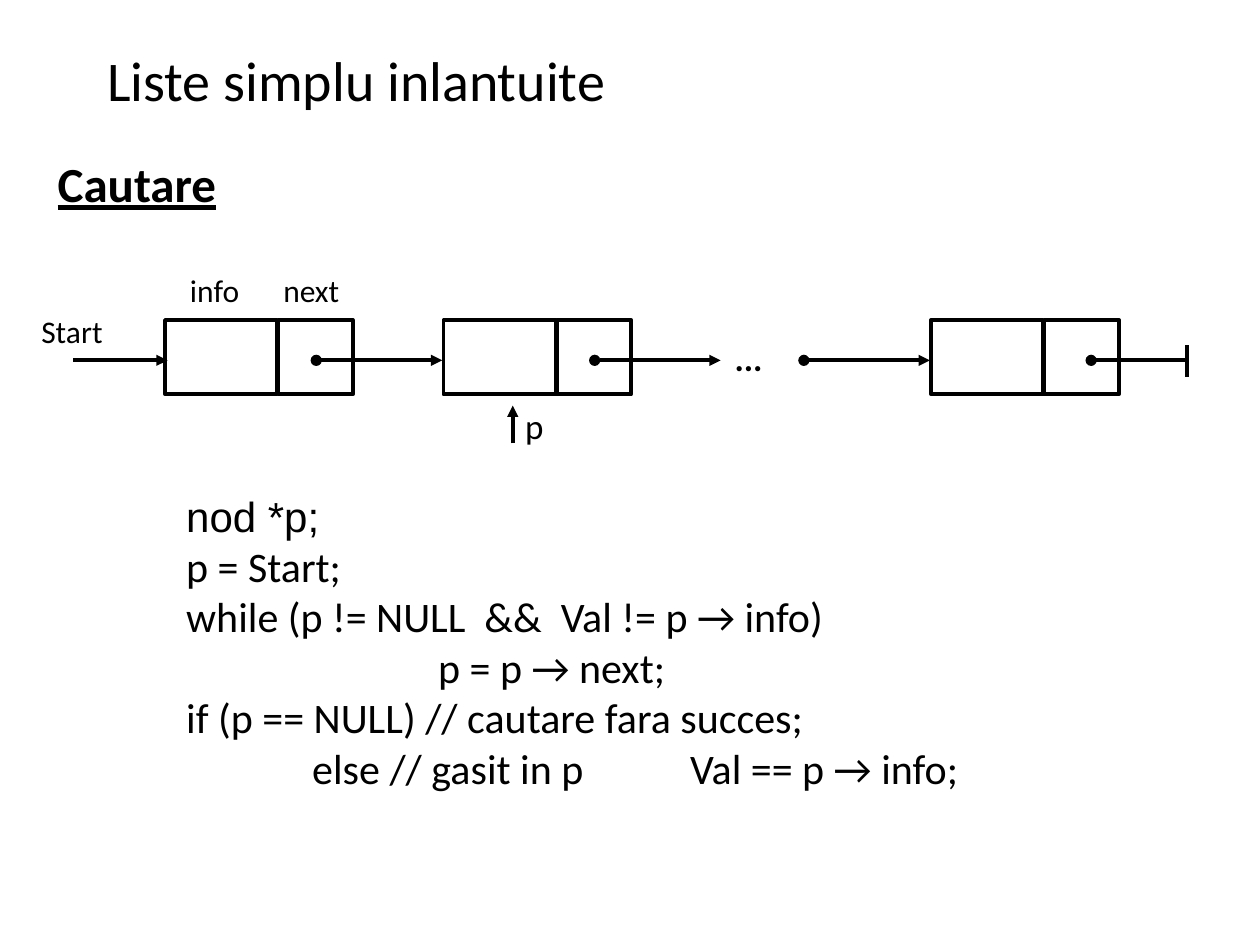
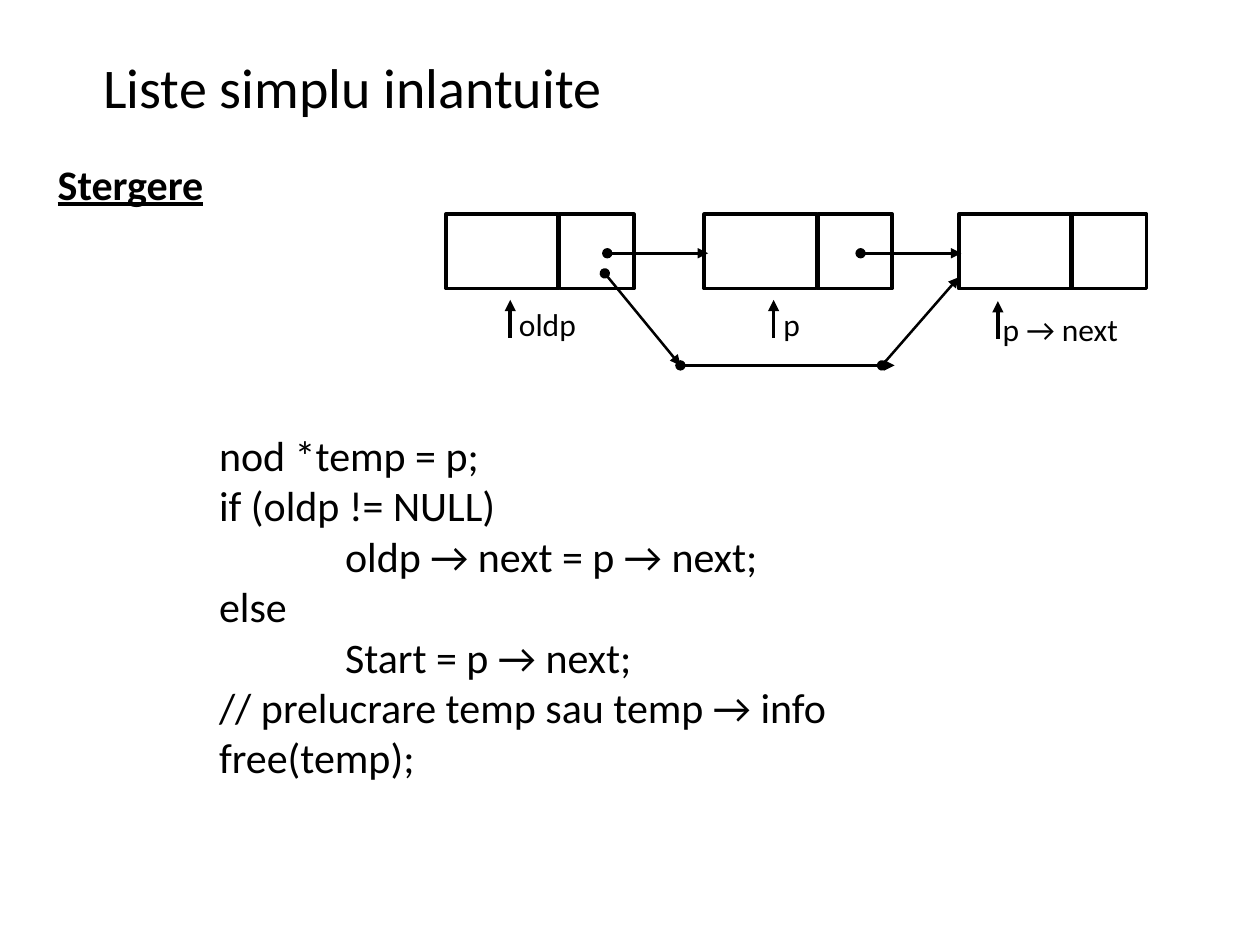
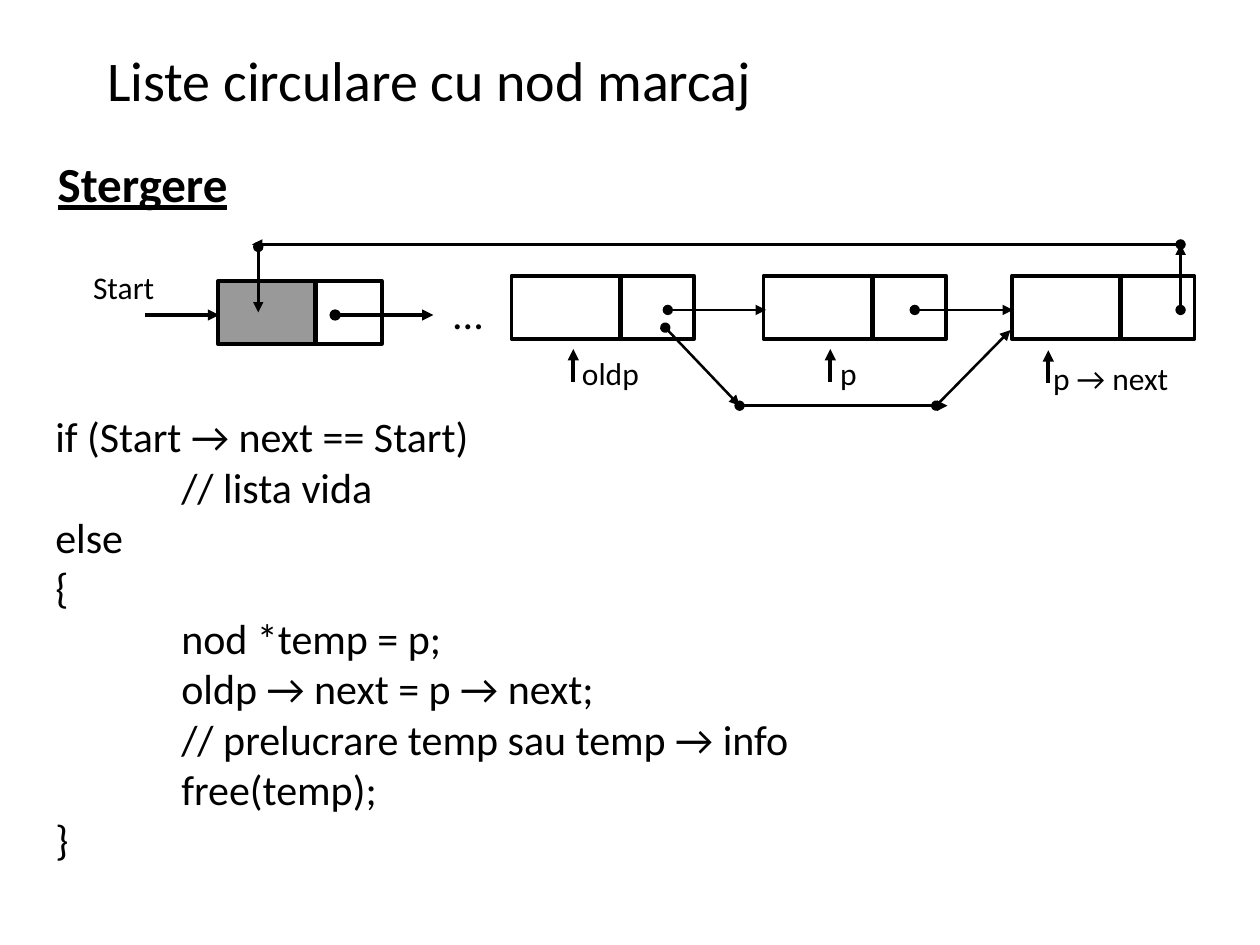
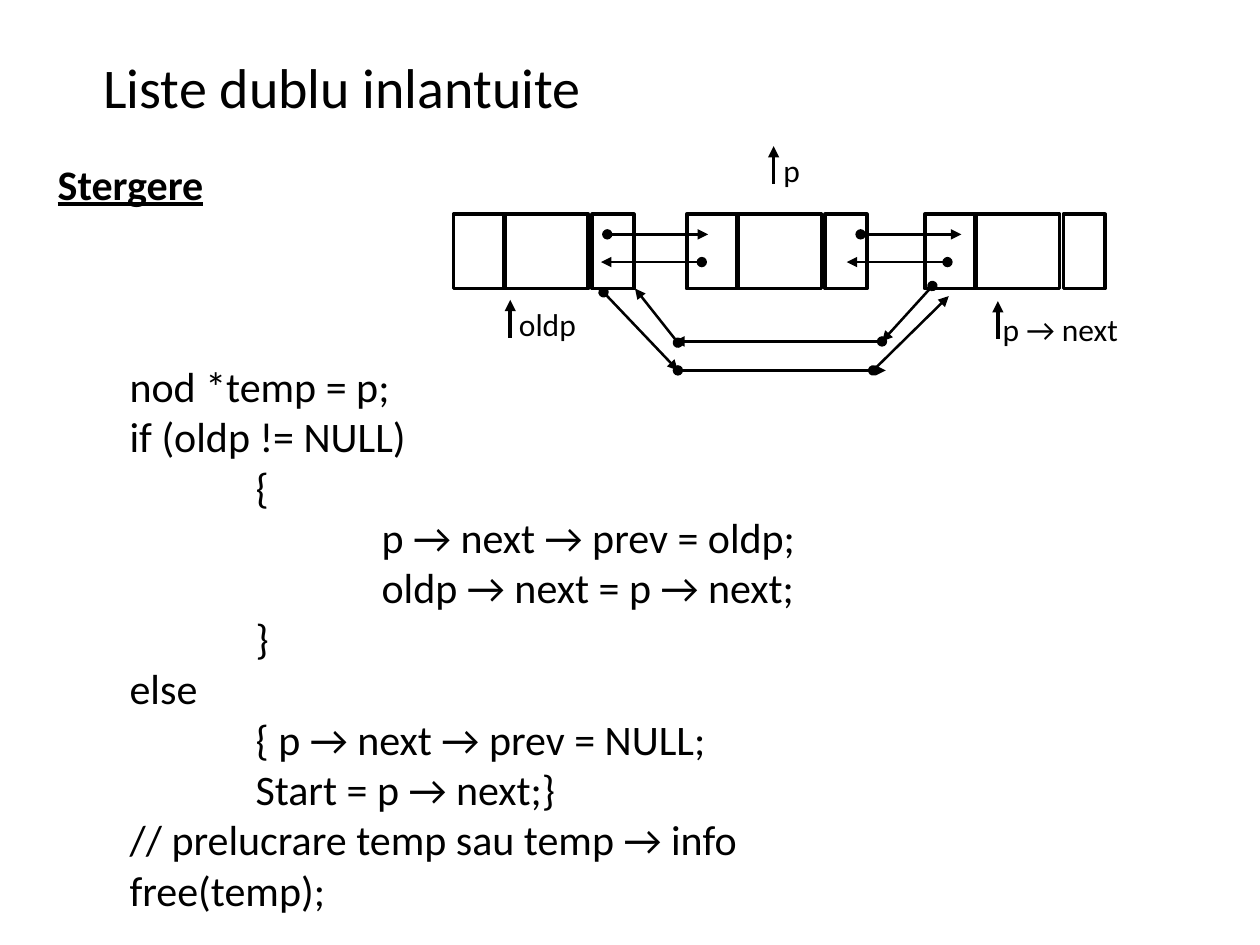
from lxml import etree
from pptx import Presentation
from pptx.dml.color import RGBColor
from pptx.enum import shapes, text
from pptx.oxml import ns
from pptx.util import Inches, Pt

BLACK = RGBColor(0, 0, 0)
GRAY = RGBColor(0x99, 0x99, 0x99)
FONT = "Calibri"
THICK, THIN = 2.15, 1.45

# Cells of a node: offset from its left edge, width
NODE = [(0, 0.89), (0.9, 0.59)]
MARK = [(0, 0.77), (0.78, 0.52)]
SLIM = [(0, 0.86), (0.87, 0.58)]
DUAL = [(0, 0.41), (0.4, 0.67), (1.1, 0.33)]

# Pointer names: label offset from the arrow tip, label width
NAMES = {
    "p": (-0.02, -0.01, 0.34),
    "oldp": (-0.03, -0.01, 0.81),
    "p → next": (-0.06, 0.02, 1.46),
}


def place(shape, box):
    shape.left, shape.top, shape.width, shape.height = map(Inches, box)


def write(frame, lines, size, bold=False, anchor=text.MSO_ANCHOR.TOP, inset=True):
    """Fill a text frame; each line is a string or a (string, font) pair."""
    frame.word_wrap = True
    frame.auto_size = text.MSO_AUTO_SIZE.NONE
    frame.vertical_anchor = anchor
    frame.margin_left = frame.margin_right = Inches(0.1 if inset else 0)
    frame.margin_top = frame.margin_bottom = Inches(0.05 if inset else 0)
    for i, line in enumerate(lines):
        words, face = (line, FONT) if isinstance(line, str) else line
        para = frame.add_paragraph() if i else frame.paragraphs[0]
        para.alignment = text.PP_ALIGN.LEFT
        if "\t" in words:
            tabs(para)
        run = para.add_run()
        run.text = words
        run.font.name = face
        run.font.size = Pt(size)
        run.font.bold = bold
        run.font.color.rgb = BLACK


def tabs(para):
    """Set a tab stop at each of the first four inches."""
    stops = etree.SubElement(para._p.get_or_add_pPr(), ns.qn("a:tabLst"))
    for inch in range(1, 5):
        stop = etree.SubElement(stops, ns.qn("a:tab"))
        stop.set("pos", str(Inches(inch)))
        stop.set("algn", "l")


def label(slide, words, box, size=18, **style):
    shape = slide.shapes.add_textbox(*map(Inches, box))
    write(shape.text_frame, [words], size, **style)
    return shape


def code(slide, box, lines):
    shape = slide.shapes.add_textbox(*map(Inches, box))
    write(shape.text_frame, lines, 24)


def page(deck, title, topic, wide):
    """Add a slide with its title and underlined topic."""
    slide = deck.slides.add_slide(deck.slide_layouts[5])
    mid = text.MSO_ANCHOR.MIDDLE
    head = slide.shapes.title
    place(head, (0.75, 0.34, 8.49, 0.57) if wide else (0.72, 0.4, 5.82, 0.57))
    write(head.text_frame, [title], 32, anchor=mid)
    width, size = (3.14, 28) if wide else (2.22, 24)
    sub = label(slide, topic, (0.36, 1.17, width, 0.57), size, bold=True, anchor=mid)
    sub.text_frame.paragraphs[0].runs[0].font.underline = True
    return slide


def node(slide, left, top, cells, height=0.59, fill=None):
    """Draw a node; fill colours its first cell only."""
    for i, (shift, width) in enumerate(cells):
        box = map(Inches, (left + shift, top, width, height))
        cell = slide.shapes.add_shape(shapes.MSO_SHAPE.RECTANGLE, *box)
        cell.shadow.inherit = False
        if fill is not None and i == 0:
            cell.fill.solid()
            cell.fill.fore_color.rgb = fill
        else:
            cell.fill.background()
        cell.line.color.rgb = BLACK
        cell.line.width = Pt(THICK)


def line(slide, ends, width=THICK, head=None, tail=None):
    wire = slide.shapes.add_connector(shapes.MSO_CONNECTOR.STRAIGHT, *map(Inches, ends))
    wire.line.color.rgb = BLACK
    wire.line.width = Pt(width)
    stroke = wire.line._get_or_add_ln()
    for tag, kind in (("a:headEnd", head), ("a:tailEnd", tail)):
        if kind:
            etree.SubElement(stroke, ns.qn(tag)).set("type", kind)
    etree.SubElement(wire._element.spPr, ns.qn("a:effectLst"))


def arrow(slide, *ends):
    line(slide, ends, tail="triangle")


def links(slide, routes, width=THIN):
    """Draw arrows that start with a dot."""
    for ends in routes:
        line(slide, ends, width, "oval", "triangle")


def pointer(slide, name, x, y, rise=0.3):
    arrow(slide, x, y + rise, x, y)
    dx, dy, width = NAMES[name]
    label(slide, name, (x + dx, y + dy, width, 0.38))


def search(deck):
    slide = page(deck, "Liste simplu inlantuite", "Cautare", True)
    for left in (1.31, 3.52, 7.39):
        node(slide, left, 2.54, NODE)
    y = 2.86
    arrow(slide, 0.58, y, 1.33, y)
    links(slide, [(x, y, x + 1, y) for x in (2.51, 4.72, 6.38)], THICK)
    line(slide, (8.66, y, 9.41, y), head="oval")
    line(slide, (9.42, 2.74, 9.42, 2.99))
    label(slide, "...", (5.83, 2.68, 0.37, 0.32), 20, bold=True,
          anchor=text.MSO_ANCHOR.MIDDLE, inset=False)
    label(slide, "Start", (0.23, 2.43, 0.86, 0.41))
    label(slide, "info", (1.41, 2.1, 0.8, 0.38))
    label(slide, "next", (2.15, 2.1, 0.8, 0.38))
    arrow(slide, 4.07, 3.52, 4.07, 3.22)
    label(slide, "p", (4.07, 3.16, 0.35, 0.42), 20)
    code(slide, (1.38, 3.84, 6.94, 2.89), [
        ("nod *p;", "Arial"),
        "p = Start;",
        "while (p != NULL  &&  Val != p → info)",
        "\t\tp = p → next;",
        "if (p == NULL) // cautare fara succes;",
        "\telse // gasit in p\tVal == p → info;",
    ])


def remove(deck):
    slide = page(deck, "Liste simplu inlantuite", "Stergere", False)
    for left in (3.54, 5.59, 7.61):
        node(slide, left, 1.7, NODE)
    links(slide, [
        (4.82, 2.01, 5.62, 2.01),
        (6.83, 2.01, 7.63, 2.01),
        (4.8, 2.17, 5.4, 2.9),
        (5.4, 2.9, 7.1, 2.9),
        (7, 2.9, 7.61, 2.2),
    ])
    pointer(slide, "oldp", 4.05, 2.38)
    pointer(slide, "p", 6.14, 2.38)
    pointer(slide, "p → next", 7.92, 2.39)
    code(slide, (1.64, 3.36, 6.43, 3.2), [
        "nod *temp = p;",
        "if (oldp != NULL)",
        "\toldp → next = p → next;",
        "else",
        "\tStart = p → next;",
        "// prelucrare temp sau temp → info",
        "free(temp);",
    ])


def ring(deck):
    slide = page(deck, "Liste circulare cu nod marcaj", "Stergere", True)
    node(slide, 1.73, 2.23, MARK, 0.5, GRAY)
    for left in (4.06, 6.06, 8.03):
        node(slide, left, 2.19, SLIM, 0.5)
    arrow(slide, 1.15, 2.5, 1.74, 2.5)
    links(slide, [(2.66, 2.5, 3.44, 2.5)], THICK)
    links(slide, [
        (5.3, 2.46, 6.08, 2.46),
        (7.26, 2.46, 8.04, 2.46),
        (5.28, 2.6, 5.87, 3.22),
        (5.87, 3.22, 7.52, 3.22),
        (7.43, 3.22, 8.02, 2.62),
        (9.37, 2.46, 9.37, 1.94),
        (9.37, 1.94, 2, 1.94),
        (2.05, 1.96, 2.05, 2.48),
    ])
    label(slide, "Start", (0.64, 2.08, 0.92, 0.41))
    label(slide, "...", (3.49, 2.23, 0.61, 0.48), 24)
    pointer(slide, "oldp", 4.55, 2.77, 0.26)
    pointer(slide, "p", 6.59, 2.77, 0.26)
    pointer(slide, "p → next", 8.32, 2.78, 0.26)
    code(slide, (0.34, 3.21, 7.85, 4.14), [
        "if (Start → next == Start)",
        "\t// lista vida",
        "else",
        "{",
        "\tnod *temp = p;",
        "\toldp → next = p → next;",
        "\t// prelucrare temp sau temp → info",
        "\tfree(temp);",
        "}",
    ])


def double(deck):
    slide = page(deck, "Liste dublu inlantuite", "Stergere", False)
    for left in (3.6, 5.45, 7.34):
        node(slide, left, 1.7, DUAL)
    links(slide, [
        (4.82, 1.86, 5.62, 1.86),
        (6.83, 1.86, 7.63, 1.86),
        (5.57, 2.08, 4.77, 2.08),
        (7.52, 2.08, 6.72, 2.08),
        (4.79, 2.32, 5.38, 2.94),
        (5.38, 2.94, 7.03, 2.94),
        (6.93, 2.94, 7.53, 2.35),
        (7.4, 2.27, 7, 2.71),
        (7, 2.71, 5.35, 2.71),
        (5.38, 2.72, 5.04, 2.29),
    ])
    pointer(slide, "oldp", 4.05, 2.38)
    pointer(slide, "p", 6.14, 1.16)
    pointer(slide, "p → next", 7.92, 2.39)
    code(slide, (0.93, 2.81, 8.15, 4.59), [
        "nod *temp = p;",
        "if (oldp != NULL)",
        "\t{",
        "\t\tp → next → prev = oldp;",
        "\t\toldp → next = p → next;",
        "\t}",
        "else",
        "\t{ p → next → prev = NULL;",
        "\tStart = p → next;}",
        "// prelucrare temp sau temp → info",
        "free(temp);",
    ])


def main():
    deck = Presentation()
    deck.slide_width, deck.slide_height = Inches(10), Inches(7.5)
    for build in (search, remove, ring, double):
        build(deck)
    deck.save("out.pptx")


if __name__ == "__main__":
    main()
